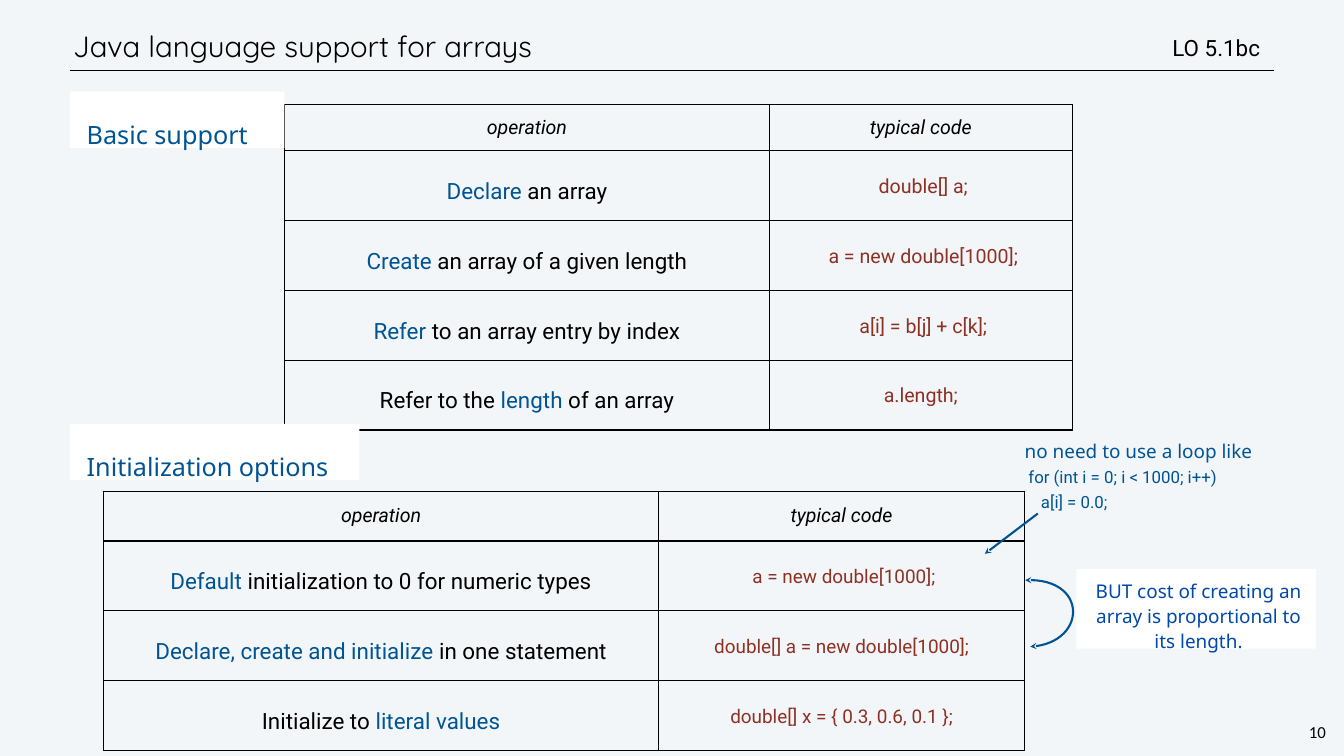
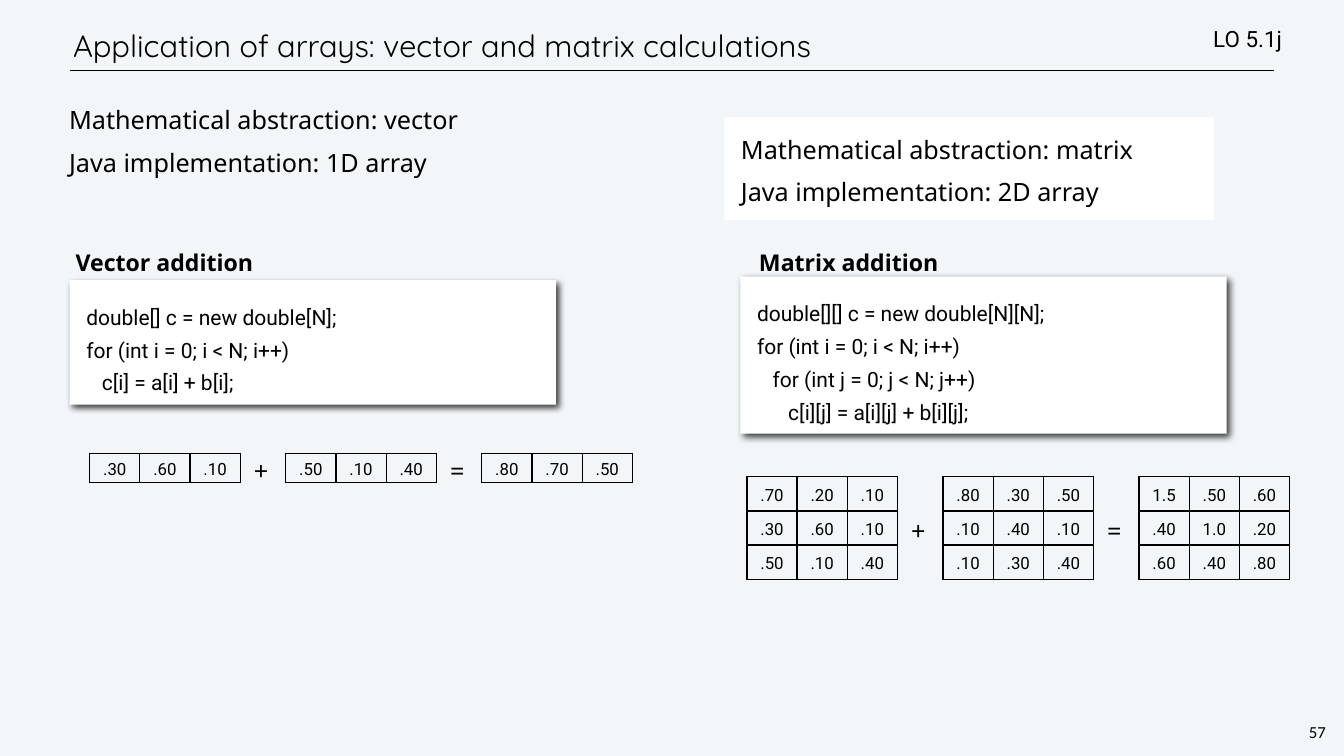
from dataclasses import dataclass, replace

import pptx
import pptx.dml.color
import pptx.enum.shapes
import pptx.enum.text
import pptx.oxml.ns
import pptx.util
from lxml import etree

Cm = pptx.util.Cm
Pt = pptx.util.Pt
RGB = pptx.dml.color.RGBColor.from_string
Align = pptx.enum.text.PP_ALIGN
Anchor = pptx.enum.text.MSO_ANCHOR
qn = pptx.oxml.ns.qn


@dataclass(frozen=True)
class Look:
    """Type style: lead is points when an int, a factor when a float."""
    font: str
    size: int
    color: str
    lead: float = 1.0
    gap: int = 0
    align: object = Align.LEFT
    bold: bool = False
    italic: bool = False
    indent: float = 0


class Theme:
    ground, white, ink = "F3F6F9", "FFFFFF", "000000"
    blue, royal, rust = "005493", "0048AA", "8D3124"
    title = Look("Quicksand", 42, ink, 50)
    topic = replace(title, size=44)
    goal = Look("Roboto", 32, ink)
    page = Look("Calibri", 24, ink, 28, align=Align.CENTER)
    label = Look("Noto Sans", 36, blue, 59)
    idea = Look("Noto Sans", 36, ink, 43, gap=18)
    sub = Look("Noto Sans", 33, ink, 56, bold=True)
    code = Look("Roboto", 30, ink, 1.3)
    note = Look("Noto Sans", 27, blue, 1.1, indent=0.23)
    cost = replace(note, color=royal, align=Align.CENTER)
    loop = Look("Roboto", 24, blue, 36)
    head = Look("Roboto", 28, ink, 33, align=Align.CENTER, italic=True)
    task = Look("Roboto", 32, ink, 55, align=Align.CENTER)
    call = Look("Roboto", 28, rust, 36, align=Align.CENTER)
    digit = Look("Roboto", 24, ink, 34, align=Align.CENTER)


# Text

def write(frame, text, *looks):
    """Fill a frame line by line; the last look serves all further lines.
    Words between asterisks are set in blue."""
    frame.word_wrap = True
    for i, line in enumerate(text.split("\n")):
        look = looks[min(i, len(looks) - 1)]
        para = frame.paragraphs[0] if i == 0 else frame.add_paragraph()
        para.alignment = look.align
        para.line_spacing = Pt(look.lead) if isinstance(look.lead, int) else look.lead
        para.space_before = Pt(look.gap if i else 0)
        if look.indent:
            para._p.get_or_add_pPr().set("marL", str(Cm(look.indent)))
        for j, part in enumerate(line.split("*")):
            if not part:
                continue
            run = para.add_run()
            run.text = part
            font = run.font
            font.name, font.size = look.font, Pt(look.size)
            font.bold, font.italic = look.bold, look.italic
            font.color.rgb = RGB(Theme.blue if j % 2 else look.color)


def pad(item, size):
    item.margin_left = item.margin_right = Cm(size)
    item.margin_top = item.margin_bottom = Cm(size)


def add_text(slide, place, text, *looks, inset=0.15, fill=None, anchor=Anchor.TOP):
    place = [Cm(v) for v in place]
    if fill:
        shape = slide.shapes.add_shape(pptx.enum.shapes.MSO_SHAPE.RECTANGLE, *place)
        shape.shadow.inherit = False
        shape.fill.solid()
        shape.fill.fore_color.rgb = RGB(fill)
        shape.line.fill.background()
    else:
        shape = slide.shapes.add_textbox(*place)
    frame = shape.text_frame
    pad(frame, inset)
    frame.vertical_anchor = anchor
    write(frame, text, *looks)
    return shape


def add_mark(slide, place, text, look):
    """Short text that never wraps."""
    frame = add_text(slide, place, text, look, inset=0.1).text_frame
    frame.word_wrap = False
    frame.auto_size = pptx.enum.text.MSO_AUTO_SIZE.SHAPE_TO_FIT_TEXT


def add_label(slide, place, text, *looks):
    return add_text(slide, place, text, *looks, inset=0.84, fill=Theme.white)


def add_code(slide, place, text):
    shape = add_label(slide, place, text, Theme.code)
    effects = shape._element.spPr.find(qn("a:effectLst"))
    shade = etree.SubElement(effects, qn("a:outerShdw"), blurRad=str(Pt(10)),
                             dist=str(Pt(6)), dir="2700000", rotWithShape="0")
    color = etree.SubElement(shade, qn("a:srgbClr"), val=Theme.ink)
    etree.SubElement(color, qn("a:alpha"), val="75000")


# Lines

def style(line, color, width, *ends):
    line.color.rgb = RGB(color)
    line.width = Pt(width)
    for end in ends:
        etree.SubElement(line._get_or_add_ln(), qn(f"a:{end}"), type="stealth")


def add_line(slide, start, stop, color, width, *ends):
    kind = pptx.enum.shapes.MSO_CONNECTOR.STRAIGHT
    link = slide.shapes.add_connector(kind, *[Cm(v) for v in start + stop])
    style(link.line, color, width, *ends)
    etree.SubElement(link._element.spPr, qn("a:effectLst"))


def add_curve(slide, knots, color, width, steps=30):
    """Open cubic curve through four control points, arrows at both ends."""
    def spot(t):
        s = 1 - t
        parts = (s ** 3, 3 * s * s * t, 3 * s * t * t, t ** 3)
        return [Cm(sum(p * k[axis] for p, k in zip(parts, knots))) for axis in (0, 1)]

    spots = [spot(i / steps) for i in range(steps + 1)]
    pen = slide.shapes.build_freeform(*spots[0])
    pen.add_line_segments(spots[1:], close=False)
    curve = pen.convert_to_shape()
    curve.shadow.inherit = False
    curve.fill.background()
    style(curve.line, color, width, "headEnd", "tailEnd")


# Tables

def add_edges(cell):
    props = cell._tc.get_or_add_tcPr()
    for i, side in enumerate("LRTB"):
        edge = etree.Element(qn(f"a:ln{side}"), w=str(Pt(2)))
        fill = etree.SubElement(edge, qn("a:solidFill"))
        etree.SubElement(fill, qn("a:srgbClr"), val=Theme.ink)
        props.insert(i, edge)


def add_grid(slide, left, top, widths, heights, rows, choose):
    """Bordered table; choose(row, col) gives the look and the inset."""
    place = (left, top, sum(widths), sum(heights))
    table = slide.shapes.add_table(len(rows), len(widths), *[Cm(v) for v in place]).table
    table.first_row = table.horz_banding = False
    for col, width in zip(table.columns, widths):
        col.width = Cm(width)
    for r, (row, height) in enumerate(zip(rows, heights)):
        table.rows[r].height = Cm(height)
        for c, text in enumerate(row):
            cell = table.cell(r, c)
            look, inset = choose(r, c)
            cell.fill.background()
            cell.vertical_anchor = Anchor.MIDDLE
            pad(cell, inset)
            write(cell.text_frame, text, look)
            add_edges(cell)


def add_tasks(slide, left, top, widths, height, first, tasks, call):
    """Table of operations beside their typical code."""
    def choose(r, c):
        if r == 0:
            return Theme.head, 0.08
        return (call, 0.1) if c else (Theme.task, 0.79)

    rows = [("operation", "typical code")] + tasks
    rest = (height - first) / len(tasks)
    add_grid(slide, left, top, widths, [first] + [rest] * len(tasks), rows, choose)


def add_sum(slide, left, top, height, terms):
    """Equation of equal grids: first + second = third."""
    step = 9.88
    for i, term in enumerate(terms):
        rows = [line.split() for line in term.split("\n")]
        add_grid(slide, left + i * step, top, [2.53] * 3, [height] * len(rows),
                 rows, lambda r, c: (Theme.digit, 0.1))
        if i < 2:
            y = top + (height * len(rows) - 1.5) / 2
            add_mark(slide, (left + i * step + 8.18, y, 1.12, 1.8), "+="[i], Theme.idea)


# Slides

def add_slide(deck, title, look, page, goal, spot):
    """Blank slide with rule, title, learning goal and page number."""
    slide = deck.slides.add_slide(deck.slide_layouts[6])
    add_line(slide, (3.53, 3.56), (64.21, 3.56), Theme.ink, 1)
    add_text(slide, (3.53, 1.07, 57.45, 2.51), title, look, anchor=Anchor.MIDDLE)
    add_text(slide, (*spot, 7.59, 1.65), goal, Theme.goal, anchor=Anchor.MIDDLE)
    add_mark(slide, (65.84, 36.3, 1.09, 1.19), page, Theme.page)
    return slide


def add_support(deck):
    slide = add_slide(deck, "Java language support for arrays", Theme.title,
                      "10", "LO 5.1bc", (58.93, 1.55))
    add_tasks(slide, 14.35, 5.28, (24.41, 15.29), 15.44, 2.31, [
        ("*Declare* an array", " double[] a;"),
        ("*Create* an array of a given length", " a = new double[1000];"),
        ("*Refer* to an array entry by index", " a[i] = b[j] + c[k];"),
        ("Refer to the *length* of an array", "a.length;"),
    ], Theme.call)
    add_label(slide, (3.53, 4.62, 10.8, 2.84), "Basic support", Theme.label)

    add_tasks(slide, 5.21, 24.77, (27.99, 18.42), 12.5, 2.49, [
        ("*Default* initialization to 0 for numeric types", " a = new double[1000];"),
        ("*Declare, create and initialize* in one statement",
         "double[] a = new double[1000];"),
        ("Initialize to *literal values*", "double[] x = { 0.3, 0.6, 0.1 };"),
    ], replace(Theme.call, size=27))
    add_label(slide, (3.53, 21.36, 14.58, 2.84), "Initialization options", Theme.label)

    # Side notes
    add_text(slide, (54.25, 28.68, 12.07, 4.01),
             "BUT cost of creating an array is proportional to its length.",
             Theme.cost, inset=0.43, fill=Theme.white)
    knots = [(51.66, 29.24), (54.89, 29.08), (54.79, 32.44), (51.92, 32.59)]
    add_curve(slide, knots, Theme.blue, 3)
    add_text(slide, (50.98, 21.59, 17.37, 5.66),
             "no need to use a loop like\n"
             "  for (int i = 0; i < 1000; i++)\n"
             "     a[i] = 0.0;", Theme.note, Theme.loop, inset=0.43)
    add_line(slide, (52.3, 25.88), (49.63, 27.91), Theme.blue, 3, "tailEnd")


def add_maths(deck):
    slide = add_slide(deck, "Application of arrays: vector and matrix calculations",
                      Theme.topic, "57", "LO 5.1j", (60.99, 1.12))

    # Vectors
    add_text(slide, (2.97, 5.13, 24.69, 5.18),
             "Mathematical abstraction: vector\nJava implementation: 1D array",
             replace(Theme.idea, indent=0.36))
    add_text(slide, (2.97, 11.1, 11.18, 2.87), "Vector addition", Theme.sub, inset=0.84)
    add_code(slide, (3.51, 14.12, 24.51, 6.27),
             "double[] c = new double[N];\n"
             "for (int i = 0; i < N; i++)\n"
             "   c[i] = a[i] + b[i];")
    add_sum(slide, 4.52, 22.86, 1.47, (".30 .60 .10", ".50 .10 .40", ".80 .70 .50"))

    # Matrices
    add_label(slide, (36.5, 5.92, 24.69, 5.18),
              "Mathematical abstraction: matrix\nJava implementation: 2D array",
              Theme.idea)
    add_text(slide, (37.41, 11.1, 11.58, 2.87), "Matrix addition", Theme.sub, inset=0.84)
    add_code(slide, (37.31, 13.94, 24.51, 7.92),
             "double[][] c = new double[N][N];\n"
             "for (int i = 0; i < N; i++)\n"
             "   for (int j = 0; j < N; j++)\n"
             "      c[i][j] = a[i][j] + b[i][j];")
    add_sum(slide, 37.64, 24.03, 1.72, (
        ".70 .20 .10\n.30 .60 .10\n.50 .10 .40",
        ".80 .30 .50\n.10 .40 .10\n.10 .30 .40",
        "1.5 .50 .60\n.40 1.0 .20\n.60 .40 .80"))


def main():
    deck = pptx.Presentation()
    deck.slide_width, deck.slide_height = Cm(67.73), Cm(38.1)
    ground = deck.slide_master.background.fill
    ground.solid()
    ground.fore_color.rgb = RGB(Theme.ground)
    add_support(deck)
    add_maths(deck)
    deck.save("out.pptx")


if __name__ == "__main__":
    main()
